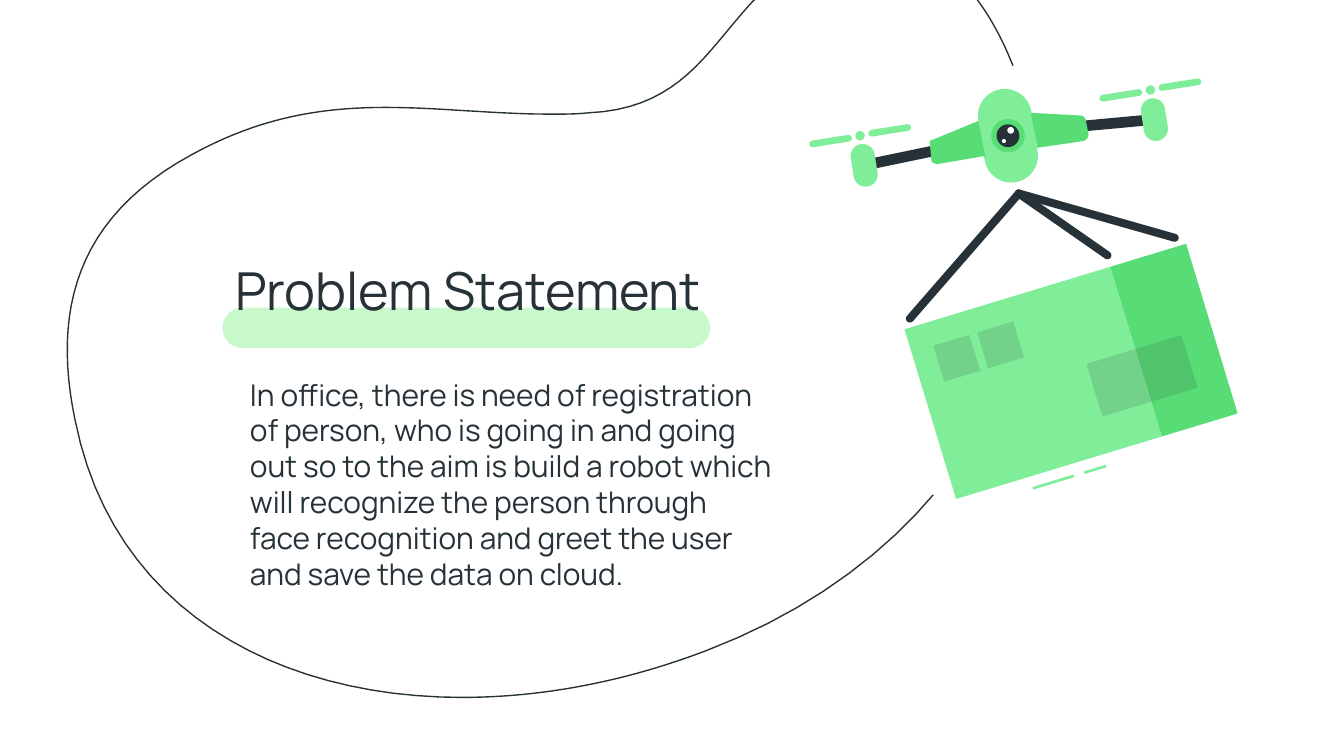
from math import atan2, cos, degrees, hypot, radians, sin

from pptx import Presentation
from pptx.dml.color import RGBColor
from pptx.enum.shapes import MSO_SHAPE as SHAPE
from pptx.enum.text import MSO_ANCHOR as ANCHOR, MSO_AUTO_SIZE as AUTO, PP_ALIGN as ALIGN
from pptx.oxml.ns import qn
from pptx.util import Inches, Pt
from lxml.etree import SubElement

prs = Presentation()
prs.slide_width = Inches(10)
prs.slide_height = prs.slide_width * 9 // 16
COL = prs.slide_width / 10
s = prs.slides.add_slide(prs.slide_layouts[0])

INK, MINT, GREEN, PALE, WHITE = "263238", "80ED99", "58DD76", "C7F9CC", "FFFFFF"


def cols(n):
    """Turn slide columns into a length."""
    return round(n * COL)


def rgb(value):
    """Turn a hex string into a colour."""
    return RGBColor.from_string(value)


def paint(sp, fill=None, line=None, alpha=None):
    """Set the fill, outline and opacity of a shape."""
    sp.shadow.inherit = False
    if fill:
        sp.fill.solid()
        sp.fill.fore_color.rgb = rgb(fill)
    else:
        sp.fill.background()
    if alpha:
        clr = sp.element.spPr.find(".//" + qn("a:srgbClr"))
        SubElement(clr, qn("a:alpha")).set("val", str(alpha * 1000))
    if line:
        sp.line.color.rgb = rgb(line)
        sp.line.width = Pt(0.75)
    else:
        sp.line.fill.background()
    return sp


def part(kind, cx, cy, w, h, fill, tilt=0, alpha=None):
    """Add a preset shape around its centre, fully rounded if it is a pill."""
    sp = s.shapes.add_shape(kind, cols(cx - w / 2), cols(cy - h / 2), cols(w), cols(h))
    sp.rotation = tilt
    if kind == SHAPE.ROUNDED_RECTANGLE:
        sp.adjustments[0] = 0.5
    return paint(sp, fill, alpha=alpha)


def bar(kind, x1, y1, x2, y2, thick, fill, cap=0):
    """Add a straight bar between two points, longer by the cap at each end."""
    dx, dy = x2 - x1, y2 - y1
    part(kind, (x1 + x2) / 2, (y1 + y2) / 2, hypot(dx, dy) + 2 * cap, thick, fill,
         degrees(atan2(dy, dx)))


def outline(x, y, start, steps, **style):
    """Add a closed outline; two numbers make a line, six make a curve."""
    pts = [start]
    for st in steps:
        if len(st) == 2:
            pts.append(st)
            continue
        ctrl = [pts[-1], st[:2], st[2:4], st[4:]]
        for i in range(1, 25):
            t = i / 24
            k = ((1 - t) ** 3, 3 * t * (1 - t) ** 2, 3 * t * t * (1 - t), t ** 3)
            pts.append(tuple(sum(a * c[j] for a, c in zip(k, ctrl)) for j in (0, 1)))
    pts = [(cols(x + a), cols(y + b)) for a, b in pts]
    fb = s.shapes.build_freeform(*pts[0], scale=1.0)
    fb.add_line_segments(pts[1:], close=True)
    return paint(fb.convert_to_shape(), **style)


def write(sp, text, size=16, color=INK, indent=0):
    """Fill a placeholder with one left-aligned paragraph."""
    tf = sp.text_frame
    tf.word_wrap, tf.auto_size, tf.vertical_anchor = True, AUTO.NONE, ANCHOR.TOP
    tf.margin_left = tf.margin_right = tf.margin_top = tf.margin_bottom = cols(0.1)
    p = tf.paragraphs[0]
    p.alignment, p.line_spacing = ALIGN.LEFT, 1.0
    p.space_before = p.space_after = Pt(0)
    pPr = p._p.get_or_add_pPr()
    pPr.set("marL", str(cols(indent)))
    pPr.set("indent", "0")
    r = p.add_run()
    r.text = text
    r.font.name, r.font.size, r.font.bold = "Manrope", Pt(size), False
    r.font.color.rgb = rgb(color)


def place(sp, x, y, w, h):
    """Move a placeholder to a box in front of what is drawn."""
    sp.left, sp.top, sp.width, sp.height = (cols(v) for v in (x, y, w, h))
    s.shapes.element.append(sp.element)


def statement(x, y, title, body):
    """Place the highlighted title and the text below it."""
    part(SHAPE.ROUNDED_RECTANGLE, x + 1.82, y + 0.62, 3.63, 0.3, PALE)
    heading, text = s.shapes.title, s.placeholders[1]
    place(heading, x, y, 4.23, 0.79)
    write(heading, title, size=28)
    place(text, x, y + 0.88, 4.2, 2.03)
    write(text, body, indent=0.11)


def parcel(x, y, tilt):
    """Draw the tilted parcel from its top left corner."""
    c, n = cos(radians(tilt)), sin(radians(tilt))
    for u, v, w, h, fill, alpha in [
        (0.57, 1.4, 0.32, 0.02, MINT, None),
        (0.97, 1.4, 0.17, 0.02, MINT, None),
        (0, 0, 1.6, 1.32, MINT, None),
        (1.6, 0, 0.59, 1.32, GREEN, None),
        (1.22, 0.64, 0.74, 0.41, "1A2327", 13),
        (0.17, 0.18, 0.28, 0.28, "1A2327", 13),
        (0.51, 0.18, 0.28, 0.28, "1A2327", 13),
    ]:
        a, b = u + w / 2, v + h / 2
        part(SHAPE.RECTANGLE, x + a * c - b * n, y + a * n + b * c, w, h, fill, tilt, alpha)


def rotor(x, y, tilt):
    """Draw a rotor: its pod, hub and two blades."""
    part(SHAPE.ROUNDED_RECTANGLE, x, y, 0.18, 0.32, MINT, tilt)
    hx, hy = x - 0.03, y - 0.22
    part(SHAPE.OVAL, hx, hy, 0.07, 0.07, MINT)
    for side in (-1, 1):
        part(SHAPE.ROUNDED_RECTANGLE, hx + side * 0.22, hy - side * 0.04, 0.32, 0.05, MINT, tilt)


def drone(x, y, tilt):
    """Draw the drone around the centre of its body."""
    part(SHAPE.ROUNDED_RECTANGLE, x, y, 0.4, 0.7, MINT, tilt)
    for dx, dy, d, fill in [(0, 0, 0.25, GREEN), (0, 0, 0.17, INK),
                            (0.02, -0.04, 0.05, WHITE), (-0.03, 0.04, 0.03, WHITE)]:
        part(SHAPE.OVAL, x + dx, y + dy, d, d, fill)
    bar(SHAPE.RECTANGLE, x + 0.54, y - 0.07, x + 1.08, y - 0.12, 0.08, INK)
    bar(SHAPE.RECTANGLE, x - 1.07, y + 0.22, x - 0.54, y + 0.11, 0.08, INK)
    rotor(x + 1.09, y - 0.12, tilt)
    rotor(x - 1.07, y + 0.22, tilt)
    outline(x, y, (0.17, -0.17), [
        (0.54, -0.15), (0.56, -0.15, 0.58, -0.13, 0.58, -0.11), (0.6, -0.01),
        (0.6, 0.01, 0.59, 0.03, 0.56, 0.04), (0.22, 0.09)], fill=GREEN)
    outline(x, y, (-0.22, -0.11), [
        (-0.56, 0.03), (-0.58, 0.03, -0.59, 0.05, -0.58, 0.07), (-0.57, 0.18),
        (-0.57, 0.2, -0.55, 0.21, -0.52, 0.21), (-0.17, 0.15)], fill=GREEN)


def ropes(x, y):
    """Draw the three ropes that hang from the hook."""
    for dx, dy in [(1.16, 0.33), (0.66, 0.46), (-0.81, 0.93)]:
        bar(SHAPE.ROUNDED_RECTANGLE, x, y, x + dx, y + dy, 0.06, INK, cap=0.03)


outline(0.39, -0.44, (6.12, 0), [
    (5.97, 0, 5.8, 0.04, 5.62, 0.13), (4.95, 0.48, 4.9, 1.24, 3.99, 1.28),
    (3.9, 1.29, 3.81, 1.29, 3.72, 1.29), (3.28, 1.29, 2.88, 1.24, 2.48, 1.24),
    (2.01, 1.24, 1.55, 1.31, 1.04, 1.59), (0.17, 2.06, 0, 2.76, 0.17, 3.57),
    (0.45, 4.97, 1.66, 5.63, 3.05, 5.63), (3.65, 5.63, 4.27, 5.51, 4.87, 5.28),
    (6.78, 4.55, 7.66, 2.86, 7.23, 1.18), (7.09, 0.67, 6.73, 0, 6.12, 0)], line=INK)
statement(1.65, 1.82, "Problem Statement",
          "In office, there is need of registration of person, who is going in and going out "
          "so to the aim is build a robot which will recognize the person through face "
          "recognition and greet the user and save the data on cloud.")
part(SHAPE.OVAL, 7.8, 2.19, 3.44, 3.44, WHITE)
parcel(6.73, 2.45, -16.9)
drone(7.5, 1.01, -9)
ropes(7.58, 1.44)
prs.save("out.pptx")
